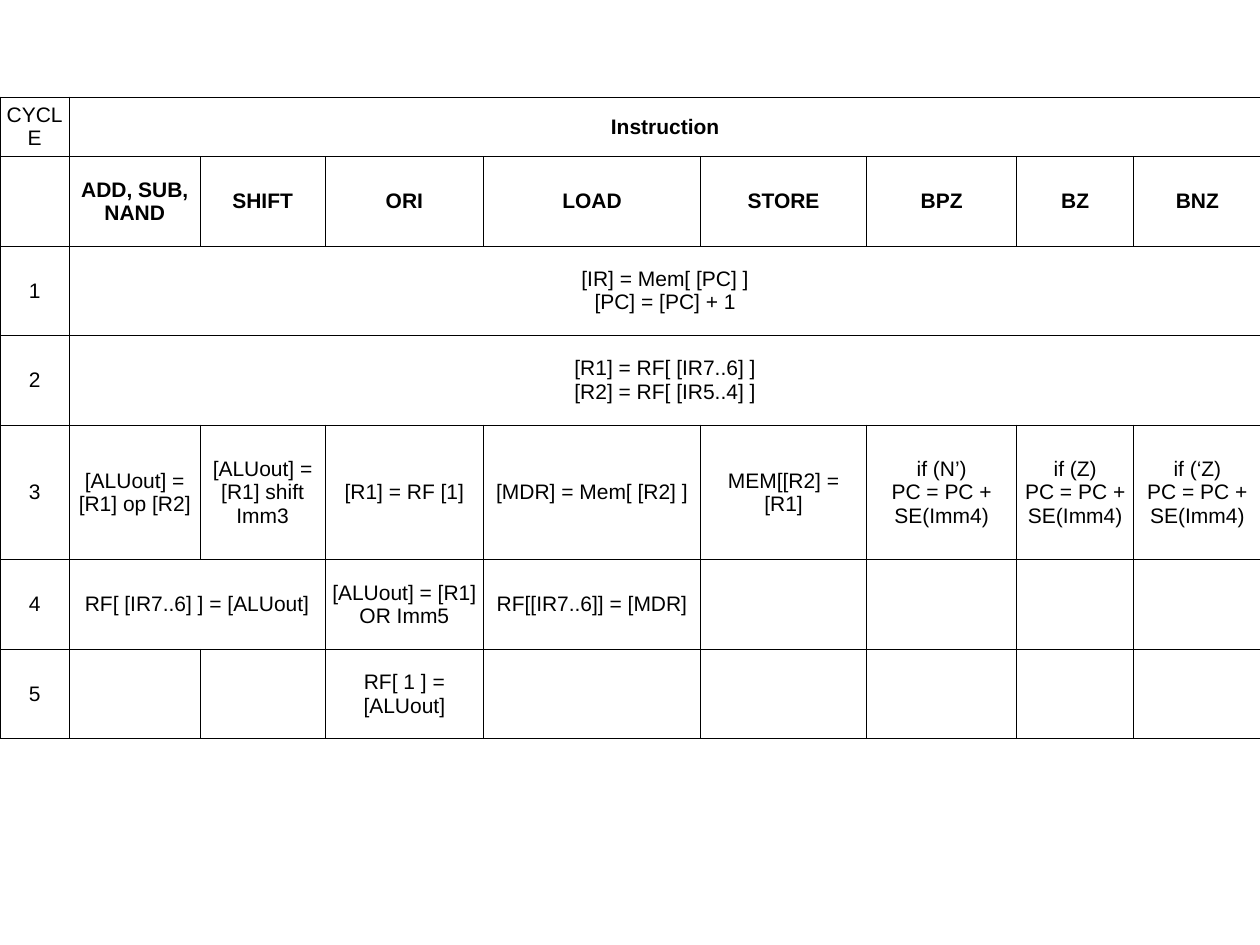
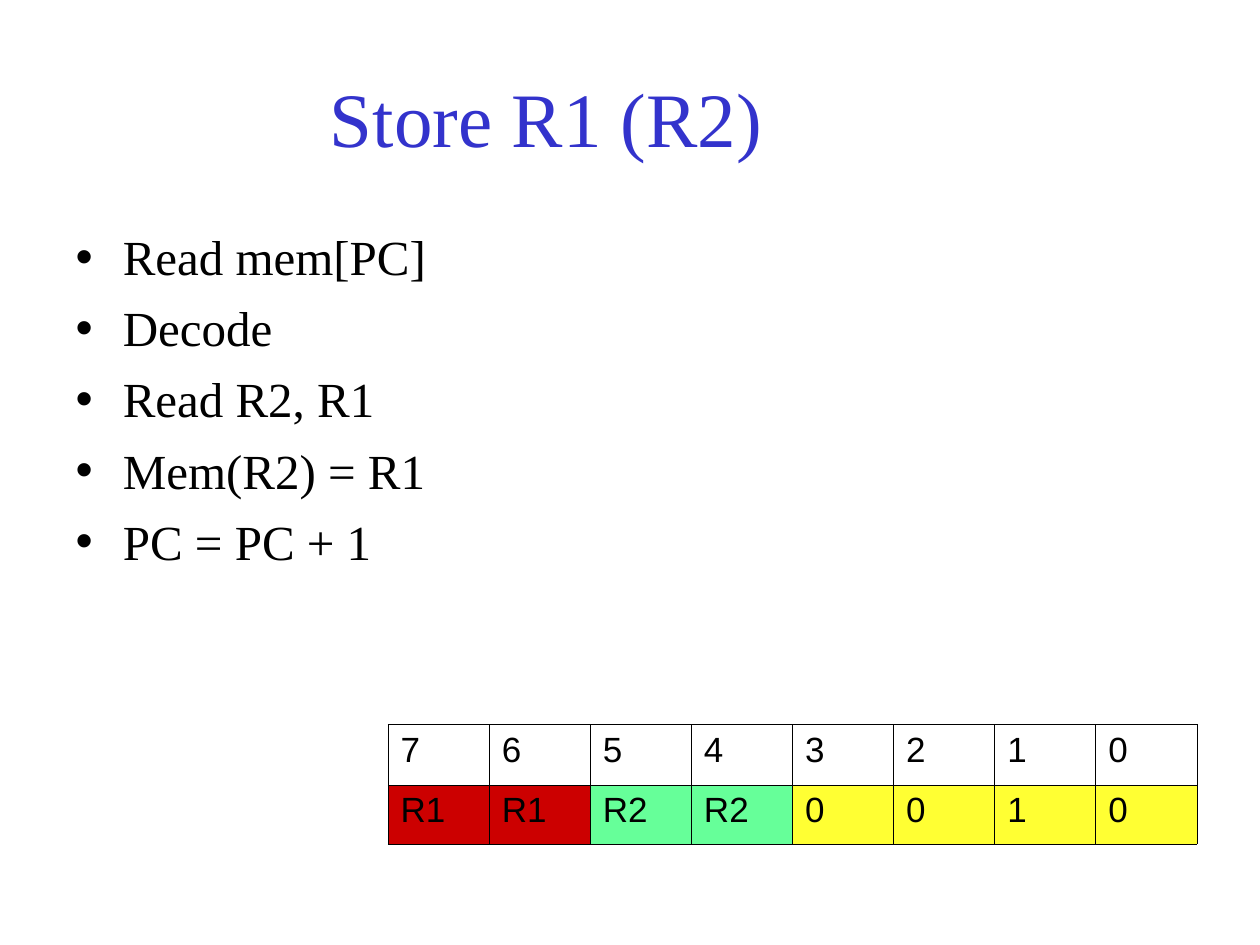
from pptx import Presentation
from pptx import util as u
from pptx.dml.color import RGBColor
from pptx.enum import text
from pptx.oxml import ns
from lxml import etree

BLACK = RGBColor(0x00, 0x00, 0x00)
WHITE = RGBColor(0xFF, 0xFF, 0xFF)
TITLE_BLUE = RGBColor(0x33, 0x33, 0xCC)
SOURCE_RED = RGBColor(0xCC, 0x00, 0x00)
ADDRESS_GREEN = RGBColor(0x66, 0xFF, 0x99)
OPCODE_YELLOW = RGBColor(0xFF, 0xFF, 0x33)
SANS = "Arial"
SERIF = "Times New Roman"

# None continues the cell on its left.
CYCLES = [
    ["CYCLE", "Instruction"] + [None] * 7,
    ["", "ADD, SUB, NAND", "SHIFT", "ORI", "LOAD", "STORE", "BPZ", "BZ", "BNZ"],
    ["1", "[IR] = Mem[ [PC] ]\n[PC] = [PC] + 1"] + [None] * 7,
    ["2", "[R1] = RF[ [IR7..6] ]\n[R2] = RF[ [IR5..4] ]"] + [None] * 7,
    ["3", "[ALUout] = [R1] op [R2]", "[ALUout] = [R1] shift Imm3",
     "[R1] = RF [1]", "[MDR] = Mem[ [R2] ]", "MEM[[R2] = [R1]",
     "if (N’)\nPC = PC + SE(Imm4)", "if (Z)\nPC = PC + SE(Imm4)",
     "if (‘Z)\nPC = PC + SE(Imm4)"],
    ["4", "RF[ [IR7..6] ] = [ALUout]", None, "[ALUout] = [R1] OR Imm5",
     "RF[[IR7..6]] = [MDR]", "", "", "", ""],
    ["5", "", "", "RF[ 1 ] = [ALUout]", "", "", "", "", ""],
]
CYCLE_WIDTHS = [0.55, 1.04, 0.99, 1.26, 1.72, 1.32, 1.19, 0.93, 1.01]
CYCLE_HEIGHTS = [0.47, 0.71, 0.71, 0.71, 1.07, 0.71, 0.71]

STORE_STEPS = ["Read mem[PC]", "Decode", "Read R2, R1", "Mem(R2) = R1", "PC = PC + 1"]
STORE_FIELDS = ["R1", "R1", "R2", "R2", "0", "0", "1", "0"]
FIELD_COLOURS = [SOURCE_RED] * 2 + [ADDRESS_GREEN] * 2 + [OPCODE_YELLOW] * 4


def write(frame, lines, font, size, colour=BLACK, bold=False, align=None, before=None):
    for index, line in enumerate(lines):
        paragraph = frame.add_paragraph() if index else frame.paragraphs[0]
        paragraph.alignment = align
        paragraph.space_before = before
        run = paragraph.add_run()
        run.text = line
        run.font.name = font
        run.font.size = u.Pt(size)
        run.font.bold = bold
        run.font.color.rgb = colour


def outline(cell, width):
    properties = cell._tc.get_or_add_tcPr()
    for side in ("a:lnL", "a:lnR", "a:lnT", "a:lnB"):
        edge = etree.SubElement(properties, ns.qn(side), w=str(u.Pt(width)))
        fill = etree.SubElement(edge, ns.qn("a:solidFill"))
        etree.SubElement(fill, ns.qn("a:srgbClr"), val=str(BLACK))


def add_grid(slide, left, top, widths, heights, border):
    grid = slide.shapes.add_table(
        len(heights), len(widths), u.Inches(left), u.Inches(top),
        u.Inches(sum(widths)), u.Inches(sum(heights))).table
    grid.first_row = grid.horz_banding = False
    for column, width in zip(grid.columns, widths):
        column.width = u.Inches(width)
    for row, height in zip(grid.rows, heights):
        row.height = u.Inches(height)
    for cell in grid.iter_cells():
        outline(cell, border)
        cell.fill.solid()
        cell.fill.fore_color.rgb = WHITE
    return grid


def merge_continued(grid, row, entries):
    for column, entry in enumerate(entries):
        if entry is None:
            continue
        end = column
        while end + 1 < len(entries) and entries[end + 1] is None:
            end += 1
        if end > column:
            grid.cell(row, column).merge(grid.cell(row, end))


def fill_placeholder(holder, left, top, width, height, lines, **style):
    holder.left, holder.top = u.Inches(left), u.Inches(top)
    holder.width, holder.height = u.Inches(width), u.Inches(height)
    holder.text_frame.auto_size = text.MSO_AUTO_SIZE.NONE
    write(holder.text_frame, lines, SERIF, **style)


def add_cycle_slide(deck):
    slide = deck.slides.add_slide(deck.slide_layouts[6])
    grid = add_grid(slide, 0, 0.77, CYCLE_WIDTHS, CYCLE_HEIGHTS, 0.45)
    for row, entries in enumerate(CYCLES):
        merge_continued(grid, row, entries)
        for column, entry in enumerate(entries):
            if not entry:
                continue
            cell = grid.cell(row, column)
            cell.vertical_anchor = text.MSO_ANCHOR.MIDDLE
            cell.margin_left = cell.margin_right = u.Inches(0.05)
            write(cell.text_frame, entry.split("\n"), SANS, 12,
                  bold=row < 2 and column > 0, align=text.PP_ALIGN.CENTER)


def add_store_slide(deck):
    slide = deck.slides.add_slide(deck.slide_layouts[1])
    fill_placeholder(slide.shapes.title, 0.5, 0.3, 7.67, 1.25, ["Store R1 (R2)"],
                     size=44, colour=TITLE_BLUE, align=text.PP_ALIGN.CENTER)
    fill_placeholder(slide.placeholders[1], 0.5, 1.75, 5.25, 4.95, STORE_STEPS,
                     size=28, before=u.Pt(7))
    bits = len(STORE_FIELDS)
    grid = add_grid(slide, 3.08, 5.75, [6.42 / bits] * bits, [0.48, 0.47], 0.34)
    for column, (field, colour) in enumerate(zip(STORE_FIELDS, FIELD_COLOURS)):
        write(grid.cell(0, column).text_frame, [str(bits - 1 - column)], SANS, 20)
        write(grid.cell(1, column).text_frame, [field], SANS, 20)
        grid.cell(1, column).fill.fore_color.rgb = colour


def main():
    deck = Presentation()
    deck.slide_width, deck.slide_height = u.Inches(10), u.Inches(7.5)
    add_cycle_slide(deck)
    add_store_slide(deck)
    deck.save("out.pptx")


if __name__ == "__main__":
    main()
